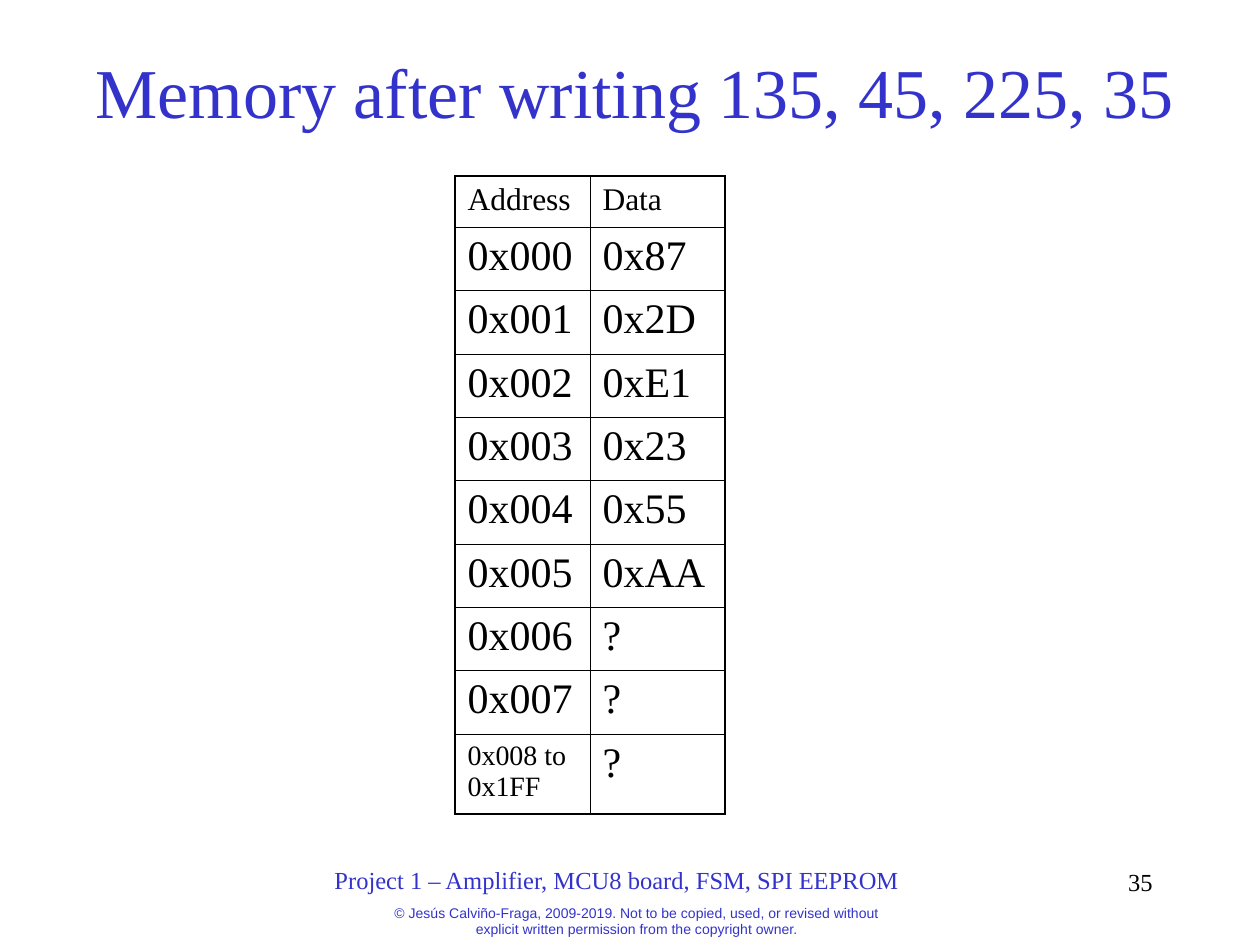
import pptx
import pptx.dml.color
import pptx.enum.text
import pptx.oxml
import pptx.oxml.ns
import pptx.util

ALIGN = pptx.enum.text.PP_ALIGN
ANCHOR = pptx.enum.text.MSO_ANCHOR
SERIF = "Times New Roman"
BLUE = "3333CC"
BLACK = "000000"
THICK, THIN = 1.08, 0.45


def px(n):
    return pptx.util.Emu(round(n * 914400 / 126))


def rgb(value):
    return pptx.dml.color.RGBColor.from_string(value)


class MemorySlide:
    """Holds the slide being built and its text and border styles."""

    def __init__(self, prs):
        self.s = prs.slides.add_slide(prs.slide_layouts[5])

    def add_run(self, tf, text, size, color=BLACK, font=SERIF, align=ALIGN.LEFT, before=0):
        tf.word_wrap = True
        p = tf.paragraphs[0]
        p.alignment = align
        p.space_before = pptx.util.Pt(before)
        r = p.add_run()
        r.text = text
        r.font.size = pptx.util.Pt(size)
        r.font.name = font
        r.font.color.rgb = rgb(color)

    def title(self, box, text):
        sp = self.s.shapes.title
        sp.left, sp.top, sp.width, sp.height = map(px, box)
        tf = sp.text_frame
        tf.auto_size = pptx.enum.text.MSO_AUTO_SIZE.NONE
        tf.vertical_anchor = ANCHOR.MIDDLE
        self.add_run(tf, text, 40, BLUE, align=ALIGN.CENTER)

    def text(self, box, text, size, **style):
        sp = self.s.shapes.add_textbox(*map(px, box))
        self.add_run(sp.text_frame, text, size, **style)

    def border(self, cell, side, width):
        ln = pptx.oxml.parse_xml(
            f'<a:{side} {pptx.oxml.ns.nsdecls("a")} w="{round(width * 12700)}">'
            f'<a:solidFill><a:srgbClr val="{BLACK}"/></a:solidFill></a:{side}>')
        cell._tc.get_or_add_tcPr().append(ln)

    def table(self, left, top, widths, heights, rows, header_size, last_size):
        last_row, last_col = len(rows) - 1, len(widths) - 1
        frame = self.s.shapes.add_table(len(rows), len(widths), px(left), px(top),
                                        px(sum(widths)), px(sum(heights)))
        table = frame.table
        table.first_row = table.horz_banding = False
        for column, width in zip(table.columns, widths):
            column.width = px(width)
        for i, (row, height) in enumerate(zip(rows, heights)):
            table.rows[i].height = px(height)
            for j, text in enumerate(row):
                cell = table.cell(i, j)
                size = header_size if i == 0 else last_size if (i, j) == (last_row, 0) else 24
                self.add_run(cell.text_frame, text, size, before=size / 4)
                edges = {"lnL": j == 0, "lnR": j == last_col,
                         "lnT": i == 0, "lnB": i == last_row}
                for side, outer in edges.items():
                    self.border(cell, side, THICK if outer else THIN)
                cell.fill.background()


def main():
    prs = pptx.Presentation()
    prs.slide_width, prs.slide_height = px(1260), px(945)
    slide = MemorySlide(prs)
    slide.text((378, 898, 518, 47),
               "© Jesús Calviño-Fraga, 2009-2019. Not to be copied, used, or revised "
               "without explicit written permission from the copyright owner.",
               8, color=BLUE, font="Arial", align=ALIGN.CENTER, before=5)
    slide.title((31, 0, 1207, 181), "Memory after writing 135, 45, 225, 35")
    data = ["0x87", "0x2D", "0xE1", "0x23", "0x55", "0xAA", "?", "?"]
    rows = [("Address", "Data")]
    rows += [(f"0x{address:03X}", value) for address, value in enumerate(data)]
    rows += [("0x008 to 0x1FF", "?")]
    heights = [51] + [63 + (i % 3 == 1) for i in range(len(data))] + [80]
    slide.table(455, 176, [135, 135], heights, rows, header_size=18, last_size=16)
    slide.text((281, 859, 678, 40), "Project 1 – Amplifier, MCU8 board, FSM, SPI EEPROM ",
               14, color=BLUE, align=ALIGN.CENTER)
    slide.text((903, 861, 262, 63), "35", 14, align=ALIGN.RIGHT)
    prs.save("out.pptx")


if __name__ == "__main__":
    main()
